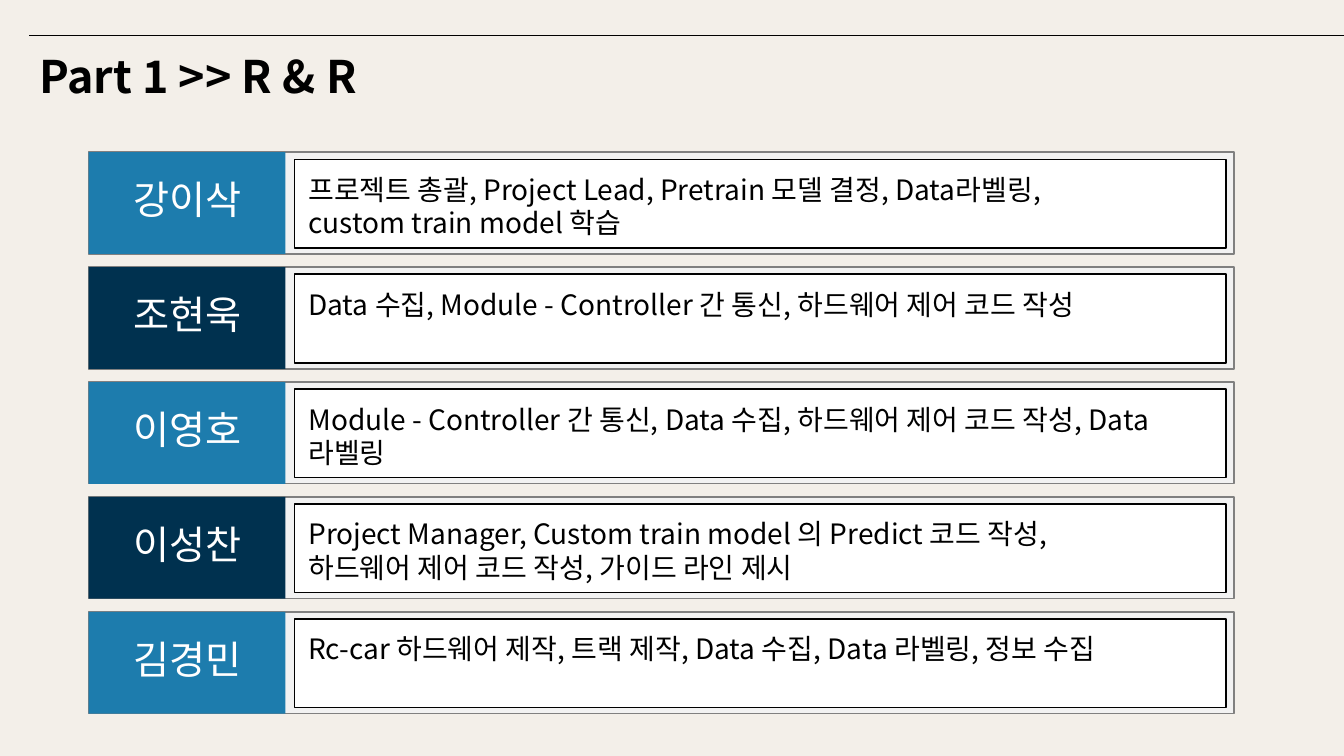
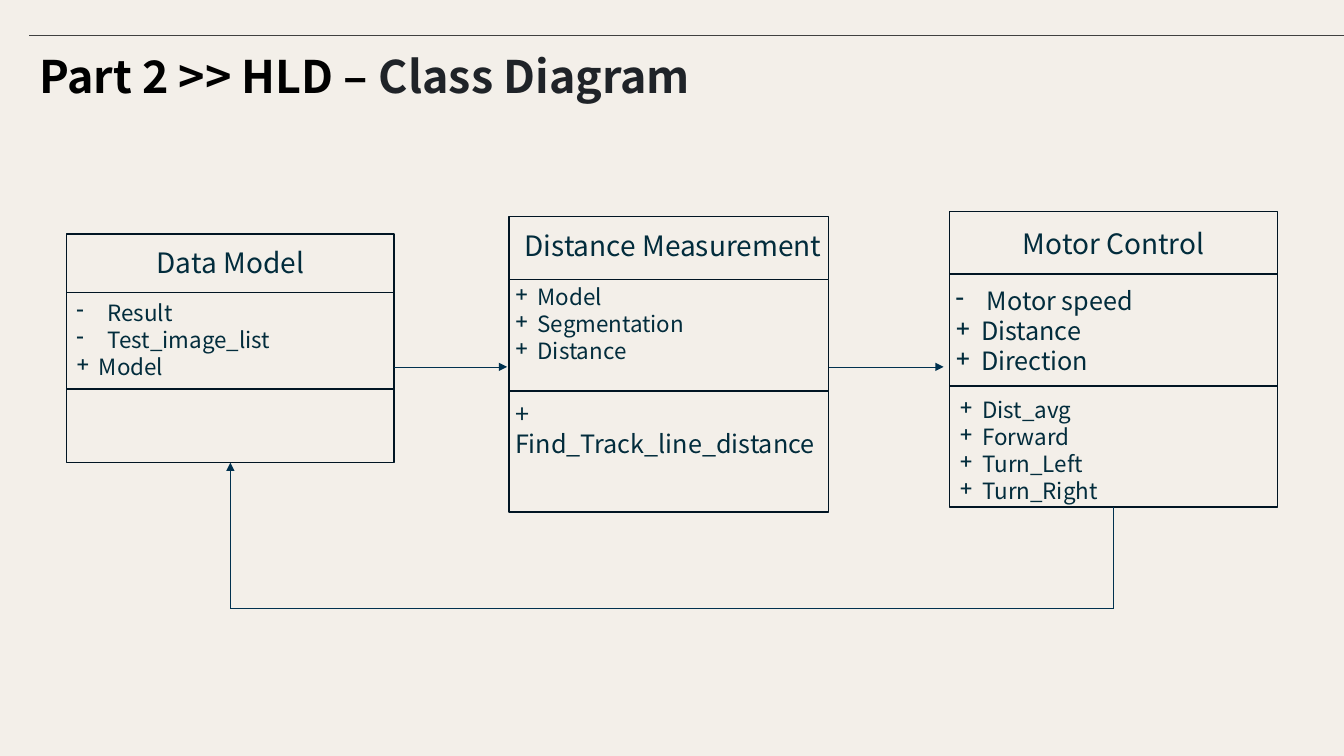
from dataclasses import dataclass

from pptx import Presentation
from pptx.dml.color import RGBColor
from pptx.enum import shapes, text
from pptx.oxml.ns import qn
from pptx.util import Inches, Pt

FONT = "Noto Sans CJK KR"
PAPER, BLACK, WHITE = "F3EFE9", "000000", "FFFFFF"
BLUE, NAVY = "1D7CAD", "00314F"
BOX_LINE, BOX_TEXT = "001523", "022C3C"

ROW_LEFT, ROW_TOP, ROW_PITCH = 0.88, 1.51, 1.14
ROW_WIDTH, ROW_HEIGHT = 11.36, 1.01
ARROW_Y, RETURN_Y = 3.64, 6.04

MEMBERS = [
    ("강이삭", ["프로젝트 총괄, Project Lead, Pretrain 모델 결정, Data라벨링,",
              "custom train model 학습"]),
    ("조현욱", ["Data 수집, Module - Controller 간 통신, 하드웨어 제어 코드 작성"]),
    ("이영호", ["Module - Controller 간 통신, Data 수집, 하드웨어 제어 코드 작성, "
              "Data 라벨링"]),
    ("이성찬", ["Project Manager, Custom train model 의 Predict 코드 작성,",
              "하드웨어 제어 코드 작성, 가이드 라인 제시"]),
    ("김경민", ["Rc-car 하드웨어 제작, 트랙 제작, Data 수집, Data 라벨링, 정보 수집"]),
]


@dataclass
class Members:
    """A compartment's text: lines as (bullet, words), bullet "" for plain."""
    left: float
    top: float
    width: float
    height: float
    size: int
    lines: list


@dataclass
class ClassBox:
    name: str
    frame: tuple
    name_top: float
    attributes_top: float
    attributes_height: float
    compartments: list


CLASSES = [
    ClassBox("Data Model", (0.66, 2.32, 3.25, 2.27), 2.39, 2.9, 0.96, [
        Members(0.66, 2.92, 3, 0.91, 16,
                [("-", "Result"), ("-", "Test_image_list"), ("+", "Model")])]),
    ClassBox("Distance Measurement", (5.05, 2.15, 3.17, 2.93), 2.22, 2.77, 1.11, [
        Members(5.01, 2.76, 3, 0.91, 16,
                [("+", "Model"), ("+", "Segmentation"), ("+", "Distance")]),
        Members(5.01, 3.9, 3.26, 0.4, 18,
                [("", "+ Find_Track_line_distance")])]),
    ClassBox("Motor Control", (9.42, 2.1, 3.25, 2.93), 2.2, 2.72, 1.11, [
        Members(9.38, 2.78, 3, 1.01, 18,
                [("-", "Motor speed"), ("+", "Distance"), ("+", "Direction")]),
        Members(9.42, 3.88, 3.25, 1.18, 16,
                [("+", "Dist_avg"), ("+", "Forward"),
                 ("+", "Turn_Left"), ("+", "Turn_Right")])]),
]


def rgb(hex_color):
    return RGBColor.from_string(hex_color)


def add_rect(parent, left, top, width, height, fill, line=None):
    rect = parent.add_shape(shapes.MSO_SHAPE.RECTANGLE, Inches(left), Inches(top),
                            Inches(width), Inches(height))
    rect.shadow.inherit = False
    rect.fill.solid()
    rect.fill.fore_color.rgb = rgb(fill)
    if line:
        rect.line.color.rgb = rgb(line)
        rect.line.width = Pt(1)
    else:
        rect.line.fill.background()
    return rect


def set_font(font, size, color, bold=False):
    font.name, font.size, font.bold = FONT, Pt(size), bold
    font.color.rgb = rgb(color)
    latin = font._element.find(qn("a:latin"))
    east_asian = latin.makeelement(qn("a:ea"), {"typeface": FONT})
    latin.addnext(east_asian)


def set_bullet(paragraph, bullet, indent):
    properties = paragraph._p.get_or_add_pPr()
    properties.set("marL", str(Inches(indent)))
    properties.set("indent", str(-Inches(indent)))
    mark = properties.makeelement(qn("a:buChar"), {"char": bullet})
    properties.append(mark)


def add_text(parent, left, top, width, height, lines, size, color,
             align=text.PP_ALIGN.LEFT):
    """Add a text box; each line is a (bullet, words) pair."""
    box = parent.add_textbox(Inches(left), Inches(top), Inches(width), Inches(height))
    frame = box.text_frame
    frame.word_wrap = True
    for index, (bullet, words) in enumerate(lines):
        paragraph = frame.paragraphs[0] if index == 0 else frame.add_paragraph()
        if bullet:
            set_bullet(paragraph, bullet, 0.31 if bullet == "-" else size * 0.014)
        paragraph.alignment = align
        run = paragraph.add_run()
        run.text = words
        set_font(paragraph.font, size, color)
        set_font(run.font, size, color)
    return box


def add_line(parent, start, end, color, arrow=False):
    points = [Inches(value) for value in (*start, *end)]
    line = parent.add_connector(shapes.MSO_CONNECTOR.STRAIGHT, *points)
    line.line.color.rgb = rgb(color)
    line.line.width = Pt(0.5)
    outline = line.line._get_or_add_ln()
    if arrow:
        outline.append(outline.makeelement(qn("a:tailEnd"), {"type": "triangle"}))
    outline.addnext(outline.makeelement(qn("a:effectLst"), {}))
    return line


def add_titled_slide(deck, title, width, rule_color):
    """Add a slide with the top rule and a title of (words, colour) runs."""
    slide = deck.slides.add_slide(deck.slide_layouts[6])
    add_line(slide.shapes, (0.29, 0.35), (13.33, 0.35), rule_color)
    box = slide.shapes.add_textbox(Inches(0.29), Inches(0.43), Inches(width), Inches(0.64))
    box.text_frame.word_wrap = True
    for words, color in title:
        run = box.text_frame.paragraphs[0].add_run()
        run.text = words
        set_font(run.font, 32, color, bold=True)
    return slide


def add_member_row(slide, index, name, tasks):
    row = slide.shapes.add_group_shape().shapes
    top = ROW_TOP + index * ROW_PITCH
    add_rect(row, ROW_LEFT, top, ROW_WIDTH, ROW_HEIGHT, "F2F2F2", "808080")
    add_rect(row, ROW_LEFT, top, 1.95, ROW_HEIGHT, NAVY if index % 2 else BLUE)
    add_rect(row, 2.92, top + 0.07, 9.24, 0.88, WHITE, BLACK)
    add_text(row, 1.02, top + 0.18, 1.68, 0.57, [("", name)], 28, WHITE,
             text.PP_ALIGN.CENTER)
    add_text(row, 2.96, top + 0.15, 9.16, 0.44 if len(tasks) == 1 else 0.77,
             [("", task) for task in tasks], 20, BLACK)


def add_class_box(slide, box):
    """Draw one class with its compartments and return the outer frame."""
    left, _, width, _ = box.frame
    frame = add_rect(slide.shapes, *box.frame, PAPER, BOX_LINE)
    add_rect(slide.shapes, left, box.attributes_top, width, box.attributes_height,
             PAPER, BOX_LINE)
    add_text(slide.shapes, left, box.name_top, 3.25, 0.44, [("", box.name)], 20,
             BOX_TEXT, text.PP_ALIGN.CENTER)
    for part in box.compartments:
        add_text(slide.shapes, part.left, part.top, part.width, part.height,
                 part.lines, part.size, BOX_TEXT)
    return frame


def add_roles_slide(deck):
    slide = add_titled_slide(deck, [("Part 1 >> R & R", BLACK)], 3.73, BLACK)
    for index, (name, tasks) in enumerate(MEMBERS):
        add_member_row(slide, index, name, tasks)


def add_class_diagram_slide(deck):
    title = [("Part 2 >> HLD – ", BLACK), ("Class Diagram", "1F2328")]
    slide = add_titled_slide(deck, title, 8.5, "404040")
    data_model, _, motor_control = [add_class_box(slide, box) for box in CLASSES]

    for start, end in ((3.91, 5.03), (8.22, 9.36)):
        add_line(slide.shapes, (start, ARROW_Y), (end, ARROW_Y), NAVY, arrow=True)

    data_x, motor_x = [(frame.left + frame.width / 2) / Inches(1)
                       for frame in (data_model, motor_control)]
    down = add_line(slide.shapes, (motor_x, 5.03), (motor_x, RETURN_Y), NAVY)
    down.begin_connect(motor_control, 2)
    add_line(slide.shapes, (motor_x, RETURN_Y), (data_x, RETURN_Y), NAVY)
    up = add_line(slide.shapes, (data_x, RETURN_Y), (data_x, 4.59), NAVY, arrow=True)
    up.end_connect(data_model, 2)


def main():
    deck = Presentation()
    deck.slide_width, deck.slide_height = Inches(13.33), Inches(7.5)
    background = deck.slide_master.background.fill
    background.solid()
    background.fore_color.rgb = rgb(PAPER)
    add_roles_slide(deck)
    add_class_diagram_slide(deck)
    deck.save("out.pptx")


if __name__ == "__main__":
    main()
